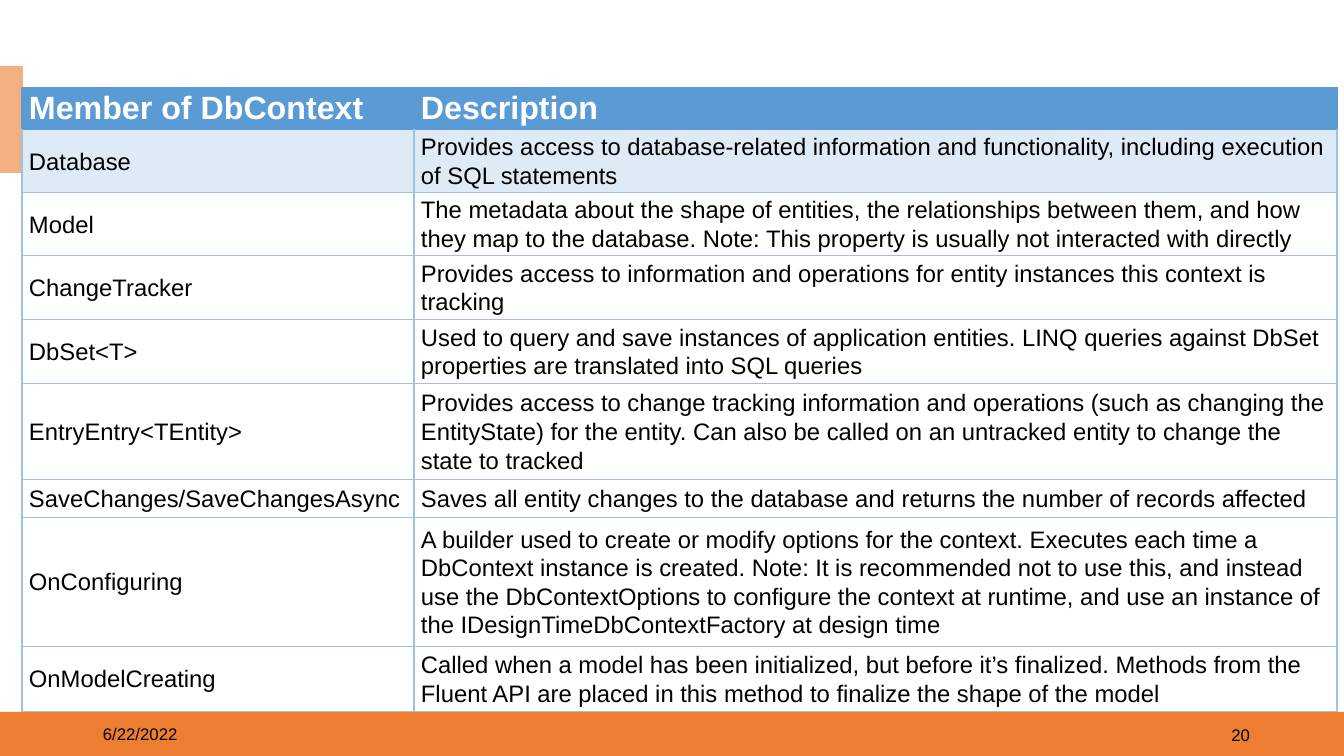
from lxml import etree
from pptx import Presentation
from pptx.dml.color import RGBColor
from pptx.enum.shapes import MSO_SHAPE
from pptx.enum.text import MSO_ANCHOR, PP_ALIGN
from pptx.oxml.ns import qn
from pptx.util import Emu, Pt

RECT = MSO_SHAPE.RECTANGLE
TOP, MIDDLE = MSO_ANCHOR.TOP, MSO_ANCHOR.MIDDLE
LEFT, RIGHT = PP_ALIGN.LEFT, PP_ALIGN.RIGHT

EMU_PER_PX = 914400 / 100.8
COLORS = {
    "orange": "ED7D31",
    "peach": "F4AF80",
    "header": "5B9BD5",
    "band": "DEEAF6",
    "border": "9CC2E5",
    "black": "000000",
    "white": "FFFFFF",
}
HEADER = {"size": Pt(23), "bold": True, "color": "white"}
BODY = {"size": Pt(17), "bold": False, "color": "black"}
FOOTER = {"size": Pt(12), "bold": False, "color": "black"}

COLUMN_WIDTHS = [392, 923]
MEMBERS = [
    (41, "Member of DbContext", "Description"),
    (63, "Database",
     "Provides access to database-related information and functionality, "
     "including execution of SQL statements"),
    (63, "Model",
     "The metadata about the shape of entities, the relationships between them, "
     "and how they map to the database. Note: This property is usually not "
     "interacted with directly"),
    (64, "ChangeTracker",
     "Provides access to information and operations for entity instances this "
     "context is tracking"),
    (64, "DbSet<T>",
     "Used to query and save instances of application entities. LINQ queries "
     "against DbSet properties are translated into SQL queries"),
    (96, "EntryEntry<TEntity>",
     "Provides access to change tracking information and operations (such as "
     "changing the EntityState) for the entity. Can also be called on an "
     "untracked entity to change the state to tracked"),
    (38, "SaveChanges/SaveChangesAsync",
     "Saves all entity changes to the database and returns the number of "
     "records affected"),
    (129, "OnConfiguring",
     "A builder used to create or modify options for the context. Executes each "
     "time a DbContext instance is created. Note: It is recommended not to use "
     "this, and instead use the DbContextOptions to configure the context at "
     "runtime, and use an instance of the IDesignTimeDbContextFactory at design "
     "time"),
    (65, "OnModelCreating",
     "Called when a model has been initialized, but before it’s finalized. "
     "Methods from the Fluent API are placed in this method to finalize the "
     "shape of the model"),
]


def px(n):
    """Turn a length in px into EMU."""
    return Emu(round(n * EMU_PER_PX))


class SlideBuilder:
    """Draws styled elements on one slide."""

    def __init__(self, slide, font="Arial"):
        self.slide = slide
        self.font = font

    def rgb(self, name):
        """Return the named colour."""
        return RGBColor.from_string(COLORS[name])

    def add_run(self, tf, text, style, align=LEFT, spacing=1.0):
        """Put one styled run into a text frame."""
        tf.word_wrap = True
        p = tf.paragraphs[0]
        p.alignment, p.line_spacing = align, spacing
        r = p.add_run()
        r.text = text
        r.font.name = self.font
        for key, value in style.items():
            if key == "color":
                r.font.color.rgb = self.rgb(value)
            else:
                setattr(r.font, key, value)

    def rect(self, x, y, w, h, color):
        """Add a plain filled rectangle."""
        sp = self.slide.shapes.add_shape(RECT, px(x), px(y), px(w), px(h))
        sp.shadow.inherit = False
        sp.fill.solid()
        sp.fill.fore_color.rgb = self.rgb(color)
        sp.line.fill.background()

    def text(self, x, y, w, h, text, align=LEFT):
        """Add a footer text box."""
        sp = self.slide.shapes.add_textbox(px(x), px(y), px(w), px(h))
        sp.text_frame.vertical_anchor = MIDDLE
        self.add_run(sp.text_frame, text, FOOTER, align)

    def borders(self, cell, colors):
        """Draw the cell's edges in the given colours."""
        tc_pr = cell._tc.get_or_add_tcPr()
        for side, color in colors.items():
            ln = etree.SubElement(tc_pr, qn(f"a:ln{side}"), w=str(Pt(1)))
            fill = etree.SubElement(ln, qn("a:solidFill"))
            etree.SubElement(fill, qn("a:srgbClr"), val=COLORS[color])

    def cell(self, cell, text, row):
        """Style and fill one table cell."""
        is_header = row == 0
        layout = {
            "margin_left": px(7),
            "margin_right": px(7),
            "margin_top": 0,
            "margin_bottom": 0,
            "vertical_anchor": TOP if is_header else MIDDLE,
        }
        for key, value in layout.items():
            setattr(cell, key, value)
        edges = dict.fromkeys("LRTB", "header" if is_header else "border")
        if row == 1:
            edges["T"] = "header"
        self.borders(cell, edges)
        if row < 2:
            cell.fill.solid()
            cell.fill.fore_color.rgb = self.rgb("header" if is_header else "band")
        else:
            cell.fill.background()
        self.add_run(cell.text_frame, text, HEADER if is_header else BODY, spacing=1.07)

    def table(self, x, y, widths, rows):
        """Add a table from rows of height and cell texts."""
        heights = [row[0] for row in rows]
        table = self.slide.shapes.add_table(
            len(rows), len(widths), px(x), px(y), px(sum(widths)), px(sum(heights))
        ).table
        table.horz_banding = False
        for column, width in zip(table.columns, widths):
            column.width = px(width)
        for i, (height, *texts) in enumerate(rows):
            table.rows[i].height = px(height)
            for j, text in enumerate(texts):
                self.cell(table.cell(i, j), text, i)


def main():
    """Build and save the slide."""
    prs = Presentation()
    prs.slide_width, prs.slide_height = px(1344), px(756)
    s = SlideBuilder(prs.slides.add_slide(prs.slide_layouts[6]))
    s.rect(0, 712, 1344, 44, "orange")
    s.rect(0, 66, 23, 107, "peach")
    s.text(93, 714, 302, 40, "6/22/2022")
    s.text(958, 715, 302, 40, "20", RIGHT)
    s.table(22, 88, COLUMN_WIDTHS, MEMBERS)
    prs.save("out.pptx")


if __name__ == "__main__":
    main()
